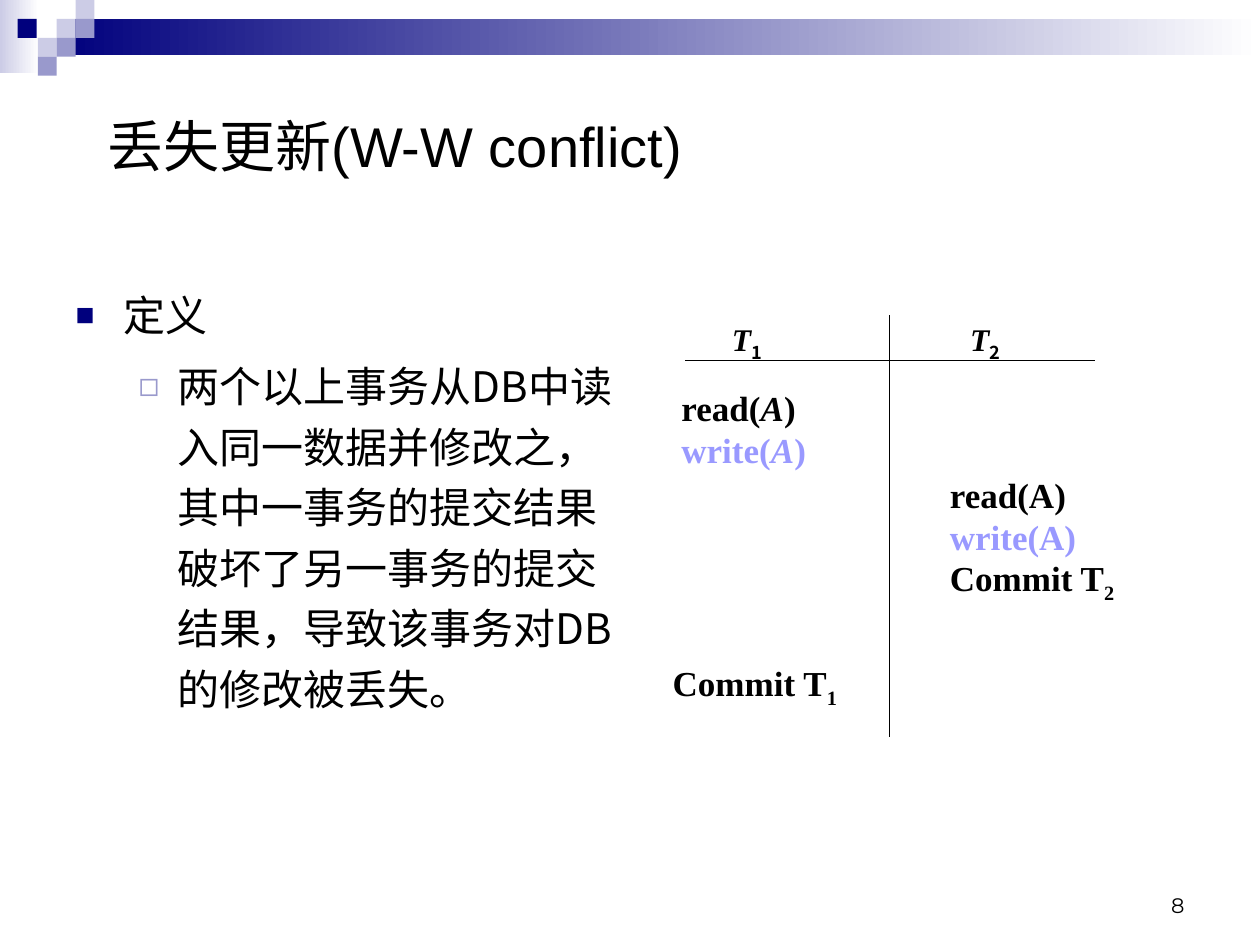
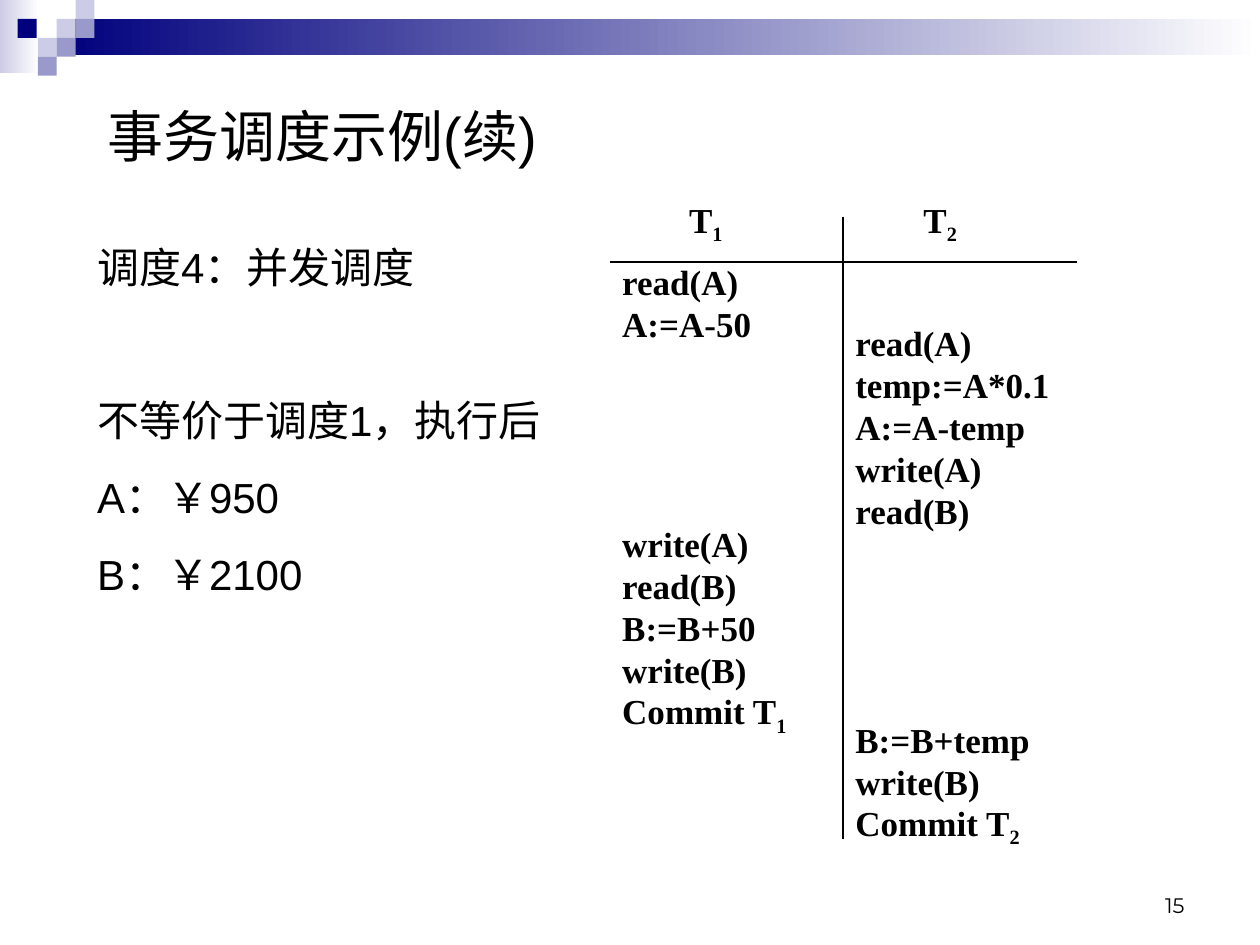
"""Build two lecture slides on concurrent transaction schedules."""
from lxml.etree import SubElement
from pptx import Presentation
from pptx.dml.color import RGBColor
from pptx.enum.shapes import MSO_CONNECTOR as CONNECTOR, MSO_SHAPE as SHAPE
from pptx.enum.text import MSO_ANCHOR as ANCHOR, MSO_AUTO_SIZE as AUTO_SIZE, PP_ALIGN as ALIGN
from pptx.oxml import parse_xml
from pptx.oxml.ns import nsdecls, qn
from pptx.util import Inches, Pt

COLORS = {"navy": "00007D", "violet": "9999CC", "pale": "CCCCE6",
          "white": "FFFFFF", "text": "000000", "write": "9999FF"}
CJK = "Noto Sans CJK SC"
SERIF = "Times New Roman"


def write(paragraph, line, size, font="Arial", color="text", leading=1.2):
    """Fill a paragraph; |x| is italic and _x is a subscript."""
    paragraph.line_spacing = Pt(size * leading)
    paragraph.font.name = font
    paragraph.font.size = Pt(size)
    paragraph.font.bold = font == SERIF
    paragraph.font.color.rgb = RGBColor.from_string(COLORS[color])
    defaults = paragraph._p.pPr.find(qn("a:defRPr"))
    SubElement(defaults, qn("a:ea")).set("typeface", CJK)
    for position, part in enumerate(line.split("|")):
        for lowered, text in enumerate(part.split("_")):
            if text:
                run = paragraph.add_run()
                run.text = text
                if position % 2:
                    run.font.italic = True
                if lowered:
                    run._r.get_or_add_rPr().set("baseline", "-25000")


def set_bullet(paragraph, margin, hanging, marks):
    """Set the indent and the bullet elements of a paragraph."""
    properties = paragraph._p.get_or_add_pPr()
    properties.set("marL", str(Inches(margin)))
    properties.set("indent", str(-Inches(hanging)))
    properties.set("hangingPunct", "0")
    for mark in list(parse_xml(f"<a:pPr {nsdecls('a')}>{marks}</a:pPr>")):
        properties.insert_element_before(mark, "a:tabLst", "a:defRPr", "a:extLst")


prs = Presentation()
prs.slide_width, prs.slide_height = Inches(10), Inches(7.5)

lessons = [
    {
        "number": "8", "title": "丢失更新(W-W conflict)", "title_top": 0.84,
        "body_at": (0.5, 2.17, 4.5, 3.94),
        "body": [
            ("定义", 6, "Arial", (0.38, 0.38, "■", "navy", 75)),
            ("两个以上事务从DB中读入同一数据并修改之，其中一事务的提交结果破坏了另一事务的提交结果，"
             "导致该事务对DB的修改被丢失。", 6, CJK, (0.81, 0.31, "◻", "violet", 80)),
        ],
        "leading": 1.44, "write_color": "write",
        "rules": [(7.06, 2.5, 7.06, 5.85), (5.44, 2.86, 8.69, 2.86)],
        "heads": [(5.71, 2.5, "|T|_1"), (7.6, 2.5, "|T|_2")],
        "head_size": 18, "head_sub_font": CJK,
        "steps": [
            (5.31, 3.02, ["read(|A|)", "write(|A|)"]),
            (7.44, 3.71, ["read(A)", "write(A)", "Commit T_2"]),
            (5.24, 5.21, ["Commit T_1"]),
        ],
    },
    {
        "number": "15", "title": "事务调度示例(续)", "title_top": 0.76,
        "body_at": (0.67, 1.87, 4, 2.94),
        "body": [
            ("调度4：并发调度", 15, "Arial", None),
            ("不等价于调度1，执行后", 58.5, "Arial", None),
            ("A：￥950", 15, "Arial", None),
            ("B：￥2100", 15, "Arial", None),
        ],
        "leading": 1.2, "write_color": "text",
        "rules": [(4.84, 2.08, 8.55, 2.08), (6.69, 1.72, 6.69, 6.66)],
        "heads": [(5.37, 1.53, "T_1"), (7.23, 1.53, "T_2")],
        "head_size": 20, "head_sub_font": SERIF,
        "steps": [
            (4.84, 2.02, ["read(A)", "A:=A-50"]),
            (6.69, 2.5, ["read(A)", "temp:=A*0.1", "A:=A-temp", "write(A)", "read(B)"]),
            (4.84, 4.1, ["write(A)", "read(B)", "B:=B+50", "write(B)", "Commit T_1"]),
            (6.69, 5.65, ["B:=B+temp", "write(B)", "Commit T_2"]),
        ],
    },
]

for lesson in lessons:
    slide = prs.slides.add_slide(prs.slide_layouts[1])
    title, body = slide.placeholders
    title.left, title.top = Inches(0.75), Inches(lesson["title_top"])
    title.width, title.height = Inches(8.5), Inches(0.63)
    title.text_frame.auto_size = AUTO_SIZE.NONE
    title.text_frame.vertical_anchor = ANCHOR.MIDDLE
    heading = title.text_frame.paragraphs[0]
    heading.alignment = ALIGN.LEFT
    write(heading, lesson["title"], 32)

    body.left, body.top, body.width, body.height = map(Inches, lesson["body_at"])
    body.text_frame.auto_size = AUTO_SIZE.NONE
    for index, (line, space, font, bullet) in enumerate(lesson["body"]):
        point = body.text_frame.add_paragraph() if index else body.text_frame.paragraphs[0]
        point.space_before = Pt(space)
        write(point, line, 24, font, leading=lesson["leading"])
        if bullet:
            margin, hanging, symbol, color, percent = bullet
            point.level = index
            set_bullet(point, margin, hanging,
                       f'<a:buClr><a:srgbClr val="{COLORS[color]}"/></a:buClr>'
                       f'<a:buSzPct val="{percent * 1000}"/>'
                       f'<a:buFont typeface="Arial"/><a:buChar char="{symbol}"/>')
        else:
            set_bullet(point, 0, 0, "<a:buNone/>")

    blocks = [(left, top, 1.08, [head], lesson["head_size"]) for left, top, head in lesson["heads"]]
    blocks += [(left, top, 2.2, lines, 20) for left, top, lines in lesson["steps"]]
    for left, top, width, lines, size in blocks:
        height = 0.1 + len(lines) * size / 60
        frame = slide.shapes.add_textbox(Inches(left), Inches(top), Inches(width), Inches(height)).text_frame
        frame.word_wrap = True
        for index, line in enumerate(lines):
            step = frame.add_paragraph() if index else frame.paragraphs[0]
            color = lesson["write_color"] if line.startswith("write") else "text"
            write(step, line, size, SERIF, color, 1.34 if "_" in line else 1.2)
            if line.startswith(("T_", "|T|")):
                step.runs[-1].font.name = lesson["head_sub_font"]

    for rule in lesson["rules"]:
        divider = slide.shapes.add_connector(CONNECTOR.STRAIGHT, *map(Inches, rule))
        divider.line.color.rgb = RGBColor.from_string(COLORS["text"])
        divider.line.width = Pt(0.75)
        SubElement(divider.element.spPr, qn("a:effectLst"))

    footer = slide.shapes.add_textbox(Inches(7.17), Inches(6.83), Inches(2.33), Inches(0.5)).text_frame
    footer.word_wrap = True
    footer.vertical_anchor = ANCHOR.BOTTOM
    footer.paragraphs[0].alignment = ALIGN.RIGHT
    write(footer.paragraphs[0], lesson["number"], 12, "Montserrat")

decorations = [(0, 0, 0.31, 0.58, "pale", "white"), (0.45, 0.15, 9.55, 0.29, "navy", "white")]
decorations += [(left, top, 0.15, 0.15, color, None) for left, top, color in [
    (0.45, 0.15, "pale"), (0.6, 0, "pale"), (0.6, 0.15, "violet"), (0.3, 0.3, "pale"),
    (0.14, 0.15, "navy"), (0.45, 0.3, "violet"), (0.3, 0.45, "violet")]]
master_tree = prs.slide_master.shapes.element
for order, (*place, color, fade) in enumerate(decorations):
    tile = slide.shapes.add_shape(SHAPE.RECTANGLE, *map(Inches, place))
    tile.shadow.inherit = False
    tile.line.fill.background()
    if fade:
        tile.fill.gradient()
        tile.fill.gradient_angle = 0
        for stop, shade in zip(tile.fill.gradient_stops, (color, fade)):
            stop.color.rgb = RGBColor.from_string(COLORS[shade])
    else:
        tile.fill.solid()
        tile.fill.fore_color.rgb = RGBColor.from_string(COLORS[color])
    tile.element.nvSpPr.cNvPr.set("id", str(100 + order))
    master_tree.insert(2 + order, tile.element)

prs.save("out.pptx")
